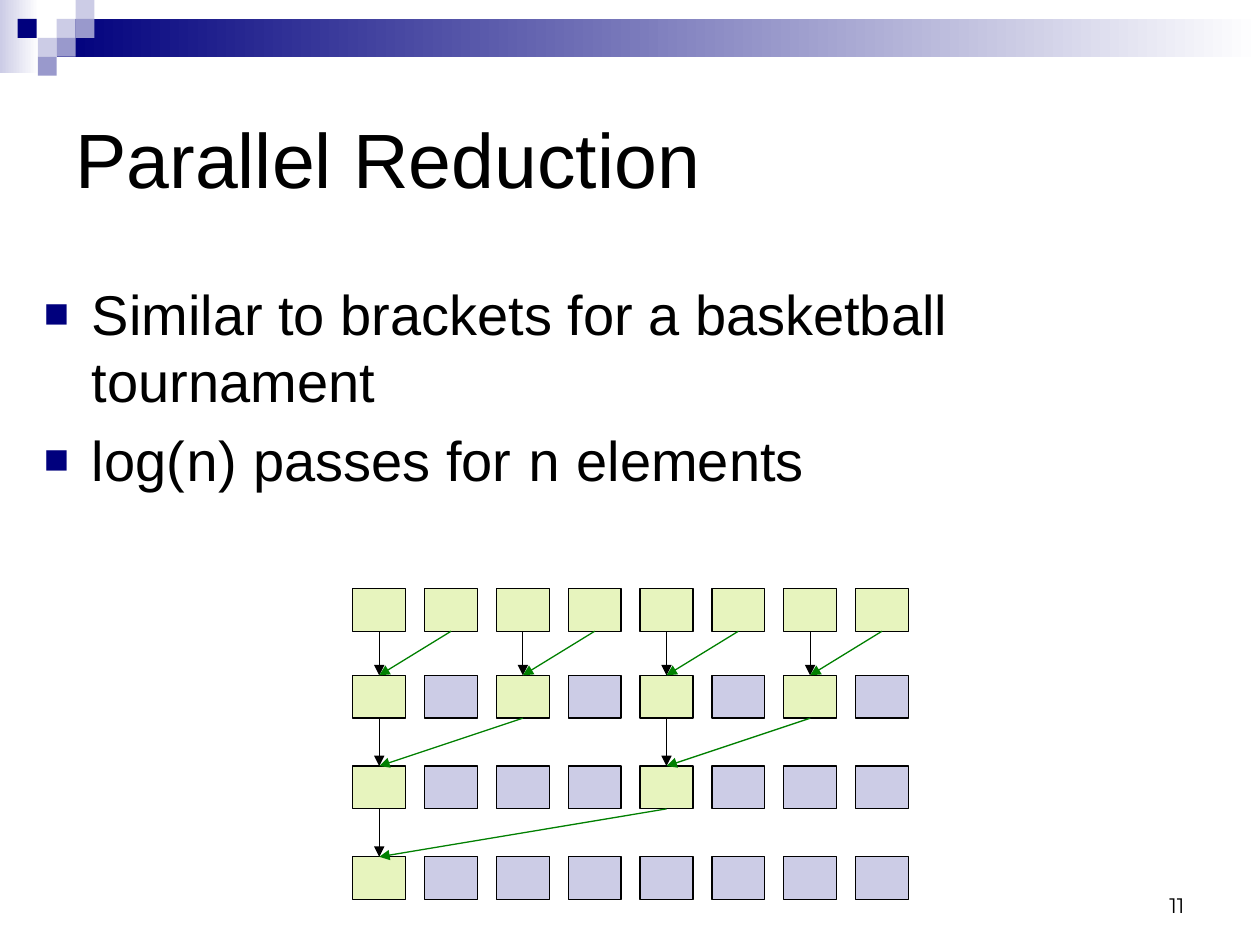
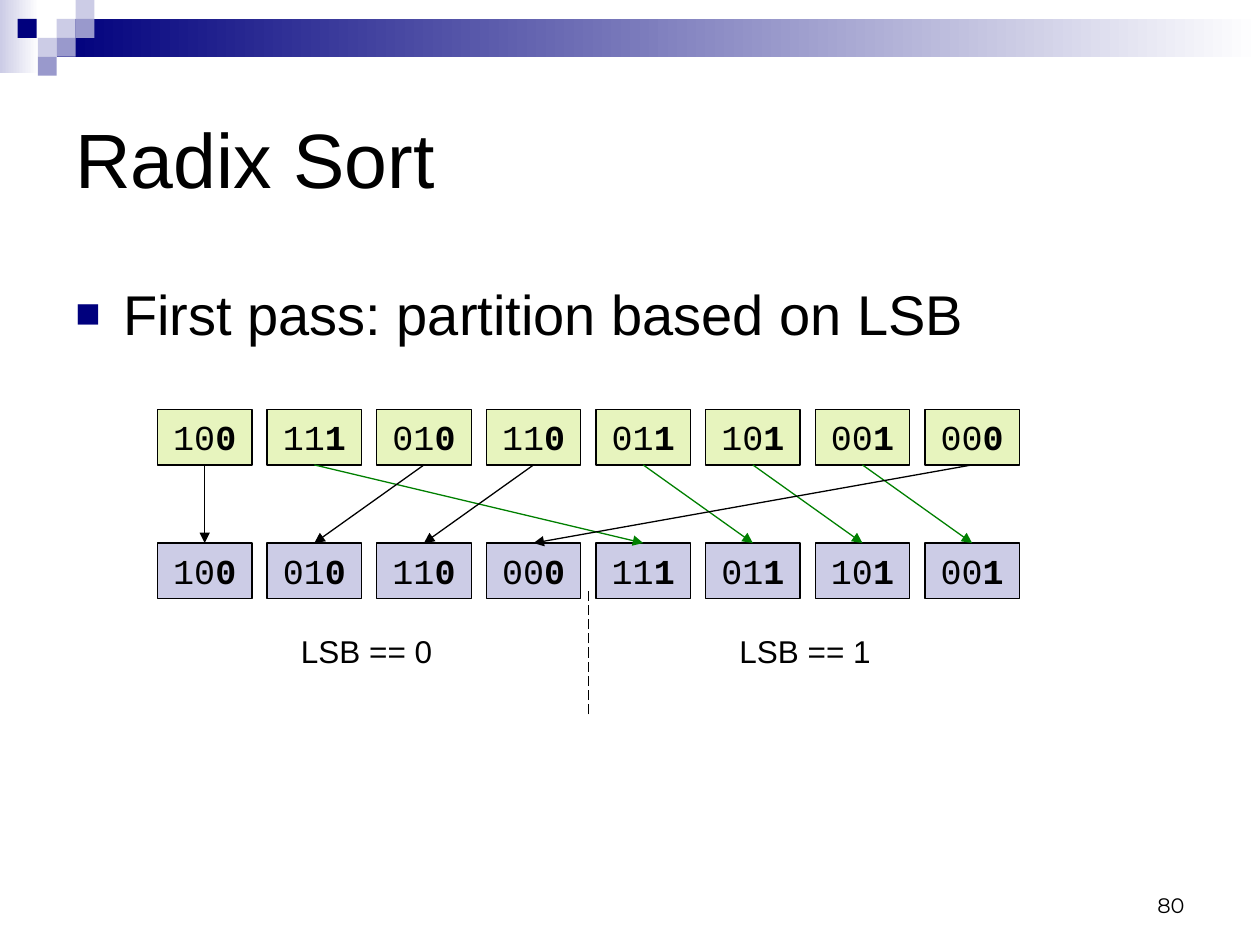
from dataclasses import dataclass

from lxml import etree
from pptx import Presentation
from pptx import util as u
from pptx.dml.color import RGBColor
from pptx.enum import dml, shapes, text
from pptx.oxml import ns


@dataclass(frozen=True)
class Theme:
    navy: str = "00007D"
    mid: str = "9999CC"
    pale: str = "CCCCE6"
    lime: str = "E7F4BE"
    green: str = "008000"
    black: str = "000000"
    white: str = "FFFFFF"
    sans: str = "Arial"
    mono: str = "Courier New"
    num: str = "Montserrat"
    title: int = 44
    body: int = 32
    code: int = 20
    label: int = 18
    page: int = 12
    line: float = 0.75


def rgb(color):
    return RGBColor.from_string(color)


def add_xml(parent, tag, **attrs):
    return etree.SubElement(parent, ns.qn(tag), attrs)


class Deck:
    def __init__(self, theme):
        self.theme = theme
        self.prs = Presentation()
        self.prs.slide_width = u.Inches(10)
        self.prs.slide_height = u.Inches(7.5)
        self.slide = None

    # Slide frame: band, mosaic, title and page number
    def start(self, title, page):
        t = self.theme
        self.slide = self.prs.slides.add_slide(self.prs.slide_layouts[6])
        self.rect(0, 0, 0.31, 0.58, t.pale, fade=True)
        self.rect(0.45, 0.15, 9.55, 0.3, t.navy, fade=True)
        tiles = [(0.45, 0.15, t.pale), (0.6, 0, t.pale), (0.6, 0.15, t.mid),
                 (0.3, 0.3, t.pale), (0.14, 0.15, t.navy),
                 (0.45, 0.3, t.mid), (0.3, 0.45, t.mid)]
        for x, y, color in tiles:
            self.rect(x, y, 0.15, 0.15, color)
        frame = self.frame(0.5, 0.5, 9, 1.5, text.MSO_ANCHOR.MIDDLE)
        self.run(frame.paragraphs[0], title, t.title)
        frame = self.frame(7.17, 6.83, 2.33, 0.5, text.MSO_ANCHOR.BOTTOM)
        para = frame.paragraphs[0]
        para.alignment = text.PP_ALIGN.RIGHT
        self.run(para, page, t.page, t.num)

    def rect(self, x, y, w, h, color, fade=False, edge=False):
        box = self.slide.shapes.add_shape(
            shapes.MSO_SHAPE.RECTANGLE, *map(u.Inches, (x, y, w, h)))
        box.shadow.inherit = False
        if fade:
            box.fill.gradient()
            box.fill.gradient_angle = 0
            for stop, tone in zip(box.fill.gradient_stops,
                                  (color, self.theme.white)):
                stop.color.rgb = rgb(tone)
        else:
            box.fill.solid()
            box.fill.fore_color.rgb = rgb(color)
        if edge:
            box.line.color.rgb = rgb(self.theme.black)
            box.line.width = u.Pt(self.theme.line)
        else:
            box.line.fill.background()
        return box

    def frame(self, x, y, w, h, anchor=text.MSO_ANCHOR.TOP, wrap=True):
        box = self.slide.shapes.add_textbox(*map(u.Inches, (x, y, w, h)))
        box.text_frame.word_wrap = wrap
        box.text_frame.vertical_anchor = anchor
        return box.text_frame

    def run(self, para, words, size, font=None, bold=False):
        run = para.add_run()
        run.text = words
        run.font.size = u.Pt(size)
        run.font.name = font or self.theme.sans
        run.font.bold = bold
        run.font.color.rgb = rgb(self.theme.black)

    # Each item is a list of (words, font) runs
    def bullets(self, x, y, w, h, items):
        t = self.theme
        frame = self.frame(x, y, w, h)
        for i, runs in enumerate(items):
            para = frame.add_paragraph() if i else frame.paragraphs[0]
            props = para._p.get_or_add_pPr()
            props.set("marL", str(u.Inches(0.38)))
            props.set("indent", str(-u.Inches(0.38)))
            add_xml(add_xml(props, "a:buClr"), "a:srgbClr", val=t.navy)
            add_xml(props, "a:buSzPct", val="75000")
            add_xml(props, "a:buFont", typeface=t.sans)
            add_xml(props, "a:buChar", char="■")
            if i:
                para.space_before = u.Pt(0.2 * t.body)
            for words, font in runs:
                self.run(para, words, t.body, font)

    def label(self, x, y, words):
        frame = self.frame(x, y, 1.25, 0.4, wrap=False)
        self.run(frame.paragraphs[0], words, self.theme.label)

    # Binary key with its lowest bit in bold
    def key(self, x, y, bits, color):
        box = self.rect(x, y, 0.75, 0.44, color, edge=True)
        box.text_frame.vertical_anchor = text.MSO_ANCHOR.TOP
        para = box.text_frame.paragraphs[0]
        para.alignment = text.PP_ALIGN.CENTER
        self.run(para, bits[:-1], self.theme.code, self.theme.mono)
        self.run(para, bits[-1], self.theme.code, self.theme.mono, True)
        return box

    def line(self, x1, y1, x2, y2, color):
        line = self.slide.shapes.add_connector(
            shapes.MSO_CONNECTOR.STRAIGHT, *map(u.Inches, (x1, y1, x2, y2)))
        line.line.color.rgb = rgb(color)
        line.line.width = u.Pt(self.theme.line)
        add_xml(line._element.spPr, "a:effectLst")
        return line

    # Arrow from the bottom of one box to the top of another
    def arrow(self, start, end, color):
        line = self.line(0, 0, 1, 1, color)
        line.begin_connect(start, 2)
        line.end_connect(end, 0)
        add_xml(line.line._get_or_add_ln(), "a:tailEnd", type="triangle")


def reduction(deck):
    t = deck.theme
    deck.start("Parallel Reduction", "11")
    deck.bullets(0.25, 2.17, 9.75, 4.25, [
        [("Similar to brackets for a basketball tournament", t.sans)],
        [("log(", t.sans), ("n", t.mono), (") passes for ", t.sans),
         ("n", t.mono), (" elements", t.sans)]])

    # Active cells are spaced twice as far apart after each pass
    grid = []
    for level, y in enumerate((4.67, 5.36, 6.08, 6.8)):
        grid.append([deck.rect(2.8 + 0.57 * col, y, 0.42, 0.34,
                               t.pale if col % 2 ** level else t.lime,
                               edge=True) for col in range(8)])
    for level, (upper, lower) in enumerate(zip(grid, grid[1:])):
        step = 2 ** level
        for col in range(0, 8, 2 * step):
            deck.arrow(upper[col], lower[col], t.black)
            deck.arrow(upper[col + step], lower[col], t.green)


def radix(deck):
    t = deck.theme
    deck.start("Radix Sort", "80")
    keys = ["100", "111", "010", "110", "011", "101", "001", "000"]
    parted = sorted(keys, key=lambda bits: bits[-1])
    rows = []
    for y, row, color in ((3.25, keys, t.lime), (4.31, parted, t.pale)):
        rows.append({bits: deck.key(1.25 + 0.87 * col, y, bits, color)
                     for col, bits in enumerate(row)})
    for bits in keys:
        color = t.green if bits[-1] == "1" else t.black
        deck.arrow(rows[0][bits], rows[1][bits], color)

    deck.bullets(0.5, 2.17, 9, 0.75,
                 [[("First pass: partition based on LSB", t.sans)]])

    # Divider between the two halves
    split = deck.line(4.67, 5.67, 4.67, 4.67, t.black)
    split.line.dash_style = dml.MSO_LINE.LONG_DASH
    deck.label(2.29, 4.97, "LSB == 0")
    deck.label(5.77, 4.97, "LSB == 1")


def main():
    deck = Deck(Theme())
    reduction(deck)
    radix(deck)
    deck.prs.save("out.pptx")


if __name__ == "__main__":
    main()
